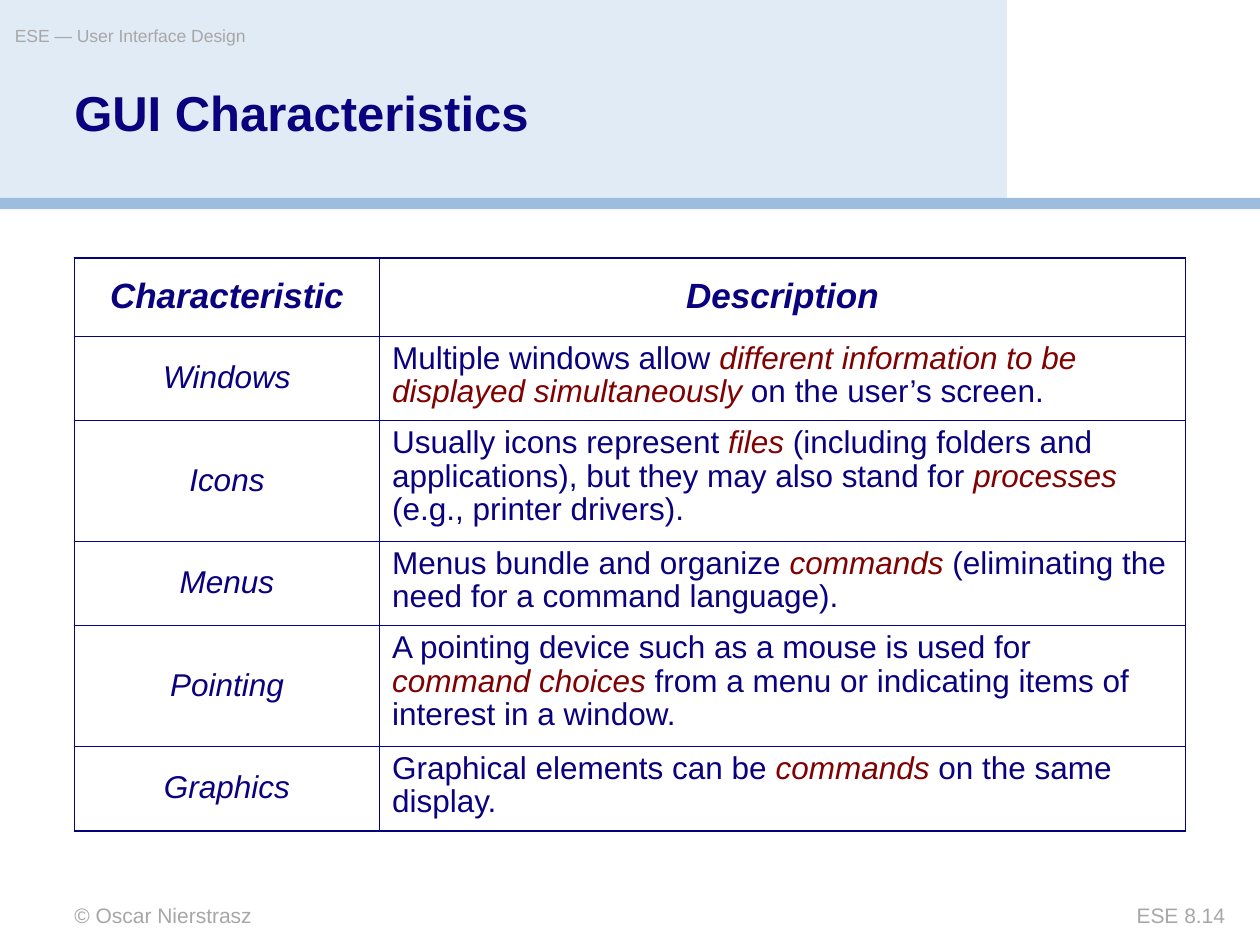
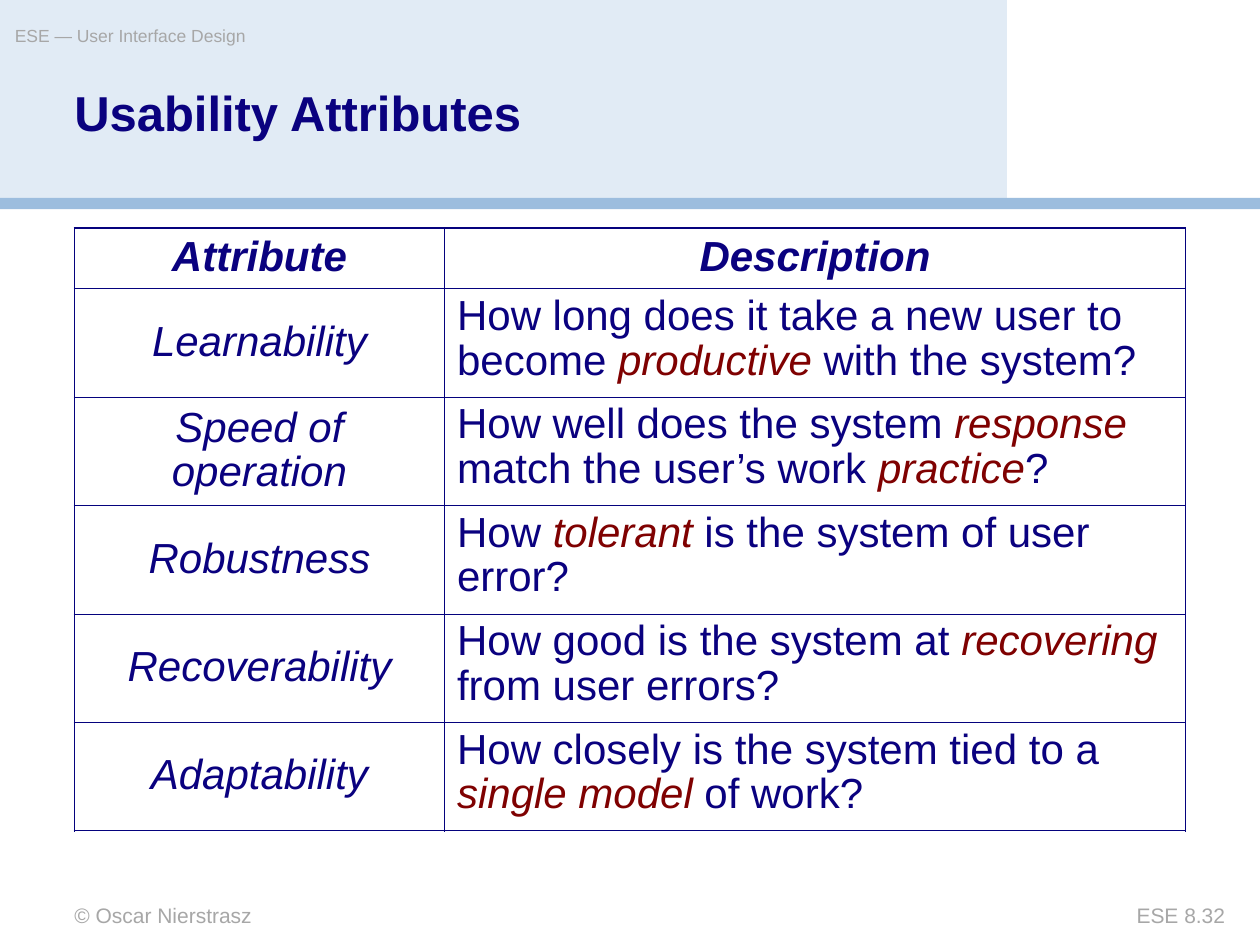
from pptx import Presentation
from pptx.dml.color import RGBColor
from pptx.enum.shapes import MSO_SHAPE
from pptx.enum.text import MSO_ANCHOR, PP_ALIGN
from pptx.oxml.ns import qn
from pptx.util import Cm, Pt
from lxml.etree import SubElement

# Content: text between asterisks is stressed; row = (height, term, meaning)
HEADER = "ESE — User Interface Design"
OWNER = "© Oscar Nierstrasz"
PAGES = [
    {
        "title": "GUI Characteristics", "page": "ESE 8.14",
        "top": 5.2, "widths": (6.15, 16.25), "sizes": (20, 18),
        "rows": [
            (1.58, "Characteristic", "Description"),
            (1.7, "Windows", "Multiple windows allow *different information to be "
             "displayed simultaneously* on the user’s screen."),
            (2.43, "Icons", "Usually icons represent *files* (including folders and "
             "applications), but they may also stand for *processes* "
             "(e.g., printer drivers)."),
            (1.7, "Menus", "Menus bundle and organize *commands* (eliminating the "
             "need for a command language)."),
            (2.43, "Pointing", "A pointing device such as a mouse is used for "
             "*command choices* from a menu or indicating items of "
             "interest in a window."),
            (1.7, "Graphics", "Graphical elements can be *commands* on the same "
             "display."),
        ],
    },
    {
        "title": "Usability Attributes", "page": "ESE 8.32",
        "top": 4.6, "widths": (7.46, 14.94), "sizes": (24, 24),
        "rows": [
            (1.22, "Attribute", "Description"),
            (2.18, "Learnability", "How long does it take a new user to become "
             "*productive* with the system?"),
            (2.18, "Speed of operation", "How well does the system *response* match "
             "the user’s work *practice*?"),
            (2.18, "Robustness", "How *tolerant* is the system of user error?"),
            (2.18, "Recoverability", "How good is the system at *recovering* from "
             "user errors?"),
            (2.18, "Adaptability", "How closely is the system tied to a "
             "*single model* of work?"),
        ],
    },
]

# Shared style
FONT = "Arial"
NAVY = RGBColor(0x0A, 0x01, 0x7F)
RED = RGBColor(0x7F, 0x01, 0x01)
GREY = RGBColor(0xA7, 0xA7, 0xA7)
PALE = RGBColor(0xE1, 0xEB, 0xF5)
BLUE = RGBColor(0x9C, 0xBD, 0xDE)
RULE = RGBColor(0x05, 0x02, 0x7D)
THICK, THIN = Pt(1.08), Pt(0.45)
LEFT = 1.5
BANDS = [(20.3, 0, 4.01, PALE), (25.4, 3.99, 0.23, BLUE)]


def style(run, size, color, bold=False, slant=False):
    font = run.font
    font.name, font.size = FONT, Pt(size)
    font.bold, font.italic = bold, slant
    font.color.rgb = color


def add_band(slide, width, top, height, color):
    band = slide.shapes.add_shape(
        MSO_SHAPE.RECTANGLE, 0, Cm(top), Cm(width), Cm(height))
    band.shadow.inherit = False
    band.fill.solid()
    band.fill.fore_color.rgb = color
    band.line.fill.background()


def add_label(slide, text, box, size, color=GREY, bold=False,
              align=PP_ALIGN.LEFT, wrap=True, lead=1.0):
    frame = slide.shapes.add_textbox(*map(Cm, box)).text_frame
    frame.margin_left = frame.margin_right = 0
    frame.margin_top = frame.margin_bottom = 0
    frame.word_wrap = wrap
    frame.text = text
    para = frame.paragraphs[0]
    para.alignment, para.line_spacing = align, lead
    style(para.runs[0], size, color, bold)


def set_edge(cell, side, width):
    line = SubElement(cell._tc.get_or_add_tcPr(), qn(f"a:ln{side}"), w=str(width))
    fill = SubElement(line, qn("a:solidFill"))
    SubElement(fill, qn("a:srgbClr"), val=str(RULE))


def fill_cell(cell, text, size, head, term):
    para = cell.text_frame.paragraphs[0]
    para.line_spacing = 0.95
    if head or term:
        para.alignment = PP_ALIGN.CENTER
        cell.vertical_anchor = MSO_ANCHOR.MIDDLE
    for i, part in enumerate(text.split("*")):
        run = para.add_run()
        run.text = part
        mark = i % 2 == 1
        style(run, size, RED if mark else NAVY, head, head or term or mark)


def add_grid(slide, page):
    rows, widths = page["rows"], page["widths"]
    high = sum(row[0] for row in rows)
    grid = slide.shapes.add_table(
        len(rows), len(widths), Cm(LEFT), Cm(page["top"]),
        Cm(sum(widths)), Cm(high)).table
    grid.first_row = grid.horz_banding = False
    for col, width in zip(grid.columns, widths):
        col.width = Cm(width)
    for r, (height, *texts) in enumerate(rows):
        grid.rows[r].height = Cm(height)
        for c, text in enumerate(texts):
            cell = grid.cell(r, c)
            fill_cell(cell, text, page["sizes"][min(r, 1)], r == 0, c == 0)
            # Outer edges are thick, inner ones thin
            outer = {"L": c == 0, "R": c == len(widths) - 1,
                     "T": r == 0, "B": r == len(rows) - 1}
            for side, thick in outer.items():
                set_edge(cell, side, THICK if thick else THIN)
            cell.fill.background()


def add_page(deck, page):
    slide = deck.slides.add_slide(deck.slide_layouts[6])
    for band in BANDS:
        add_band(slide, *band)
    add_label(slide, OWNER, (LEFT, 18.19, 10.6, 0.5), 12)
    add_label(slide, HEADER, (0.3, 0.5, 15, 0.7), 10, wrap=False)
    add_label(slide, page["page"], (20.95, 18.2, 3.75, 0.5), 12,
              align=PP_ALIGN.RIGHT)
    add_label(slide, page["title"], (LEFT, 1.8, 18.4, 2.25), 28, NAVY,
              bold=True, lead=0.9)
    add_grid(slide, page)


def main():
    deck = Presentation()
    deck.slide_width, deck.slide_height = Cm(25.4), Cm(19.05)
    for page in PAGES:
        add_page(deck, page)
    deck.save("out.pptx")


if __name__ == "__main__":
    main()
